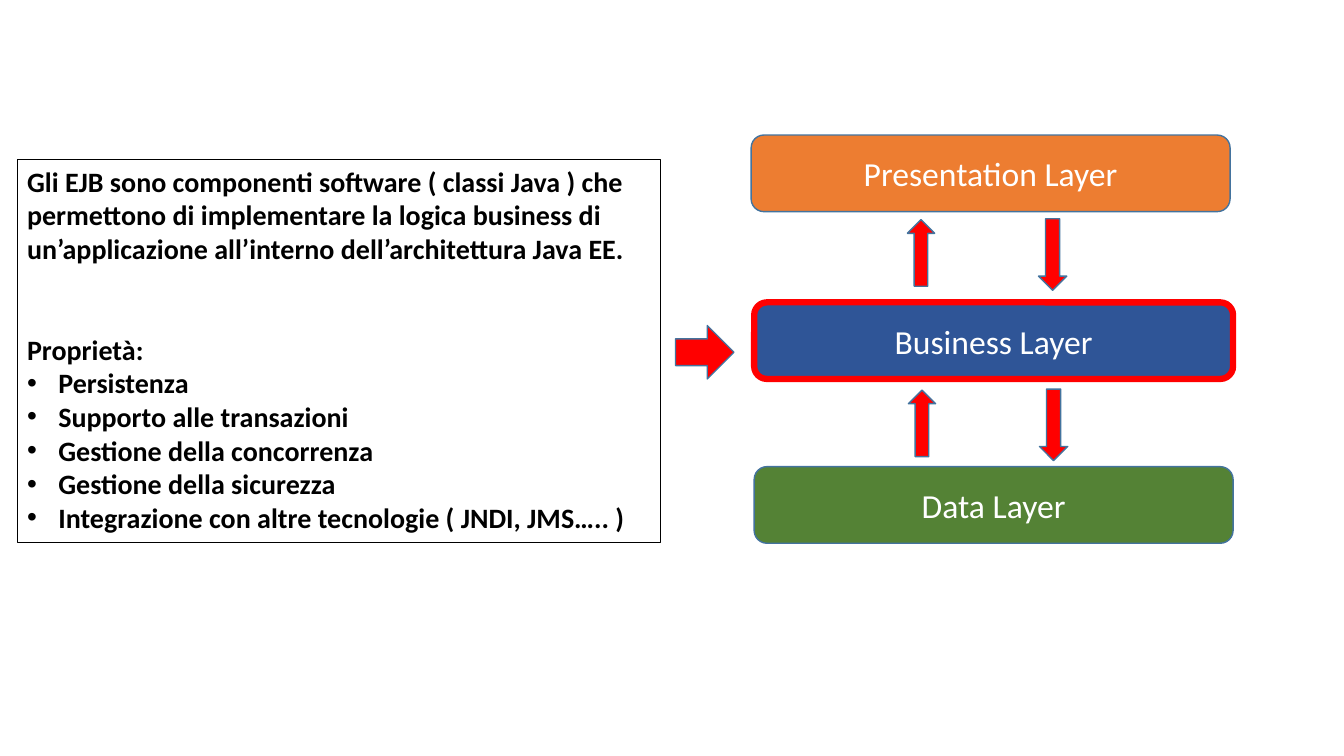
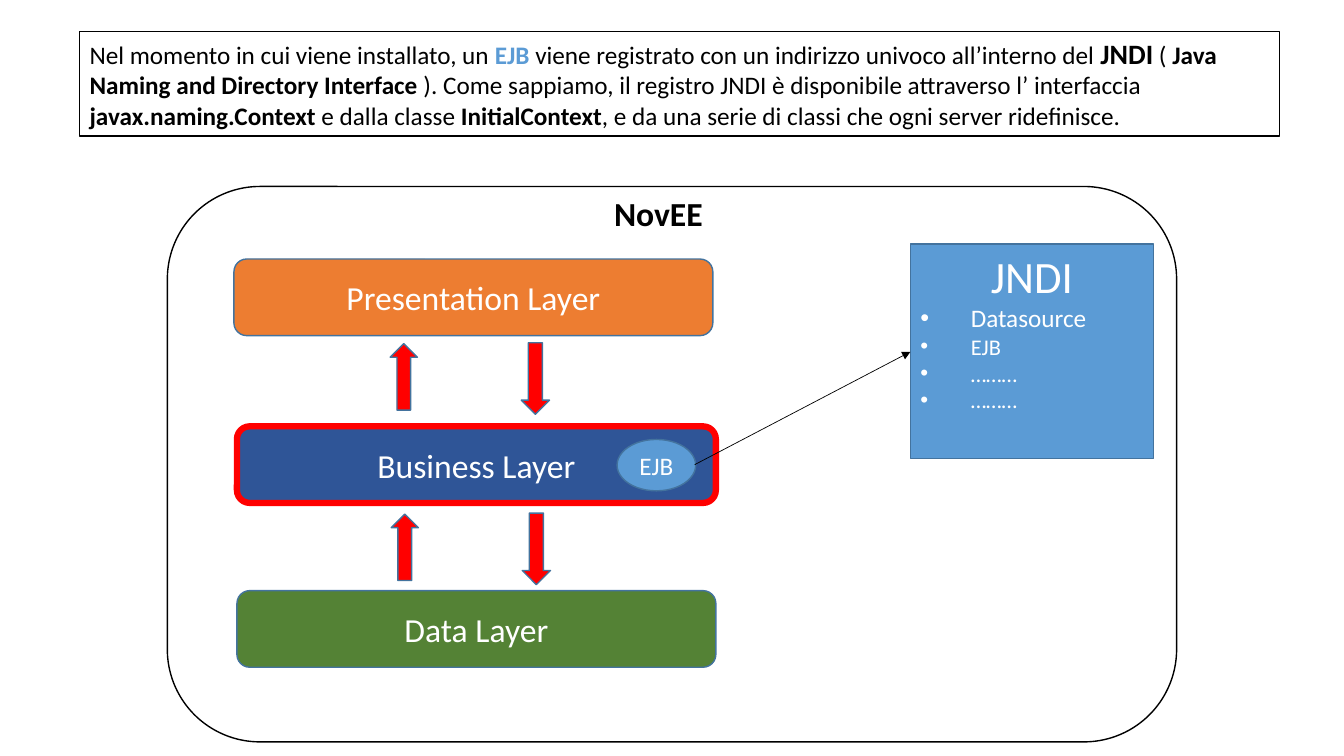
import dataclasses

import lxml.etree
import pptx
import pptx.dml.color
import pptx.enum.shapes
import pptx.enum.text
import pptx.oxml.ns
import pptx.util

Inches = pptx.util.Inches
Pt = pptx.util.Pt
Shape = pptx.enum.shapes.MSO_SHAPE
Anchor = pptx.enum.text.MSO_ANCHOR
Align = pptx.enum.text.PP_ALIGN
qn = pptx.oxml.ns.qn


@dataclasses.dataclass(frozen=True)
class Theme:
    font: str = "Calibri"
    bullet_font: str = "Arial"
    black: str = "000000"
    white: str = "FFFFFF"
    red: str = "FF0000"
    sky: str = "5B9BD5"
    edge: str = "43739E"
    orange: str = "ED7D31"
    navy: str = "2F5597"
    green: str = "548235"
    heading: int = 32
    label: int = 24
    body: int = 20
    detail: int = 18
    small: int = 16


THEME = Theme()


def rgb(value):
    return pptx.dml.color.RGBColor.from_string(value)


class Diagram:
    def __init__(self, theme):
        self.theme = theme
        self.deck = pptx.Presentation()
        self.deck.slide_width = Inches(13.33)
        self.deck.slide_height = Inches(7.5)
        self.page = None

    def new_page(self):
        self.page = self.deck.slides.add_slide(self.deck.slide_layouts[6])

    def shape(self, kind, left, top, width, height, fill=None, line=None, weight=1):
        box = self.page.shapes.add_shape(
            kind, Inches(left), Inches(top), Inches(width), Inches(height))
        box.shadow.inherit = False
        if fill:
            box.fill.solid()
            box.fill.fore_color.rgb = rgb(fill)
        else:
            box.fill.background()
        box.line.color.rgb = rgb(line or self.theme.edge)
        box.line.width = Pt(weight)
        box.text_frame.word_wrap = True
        return box

    def paragraph(self, box, spans, size, color, bold=False, align=Align.LEFT,
                  indent=0, before=0):
        frame = box.text_frame
        para = frame.paragraphs[0]
        if para.runs:
            para = frame.add_paragraph()
        para.alignment = align
        if before:
            para.space_before = Pt(before)
        if indent:
            self.bullet(para, indent)
        self.style(para.font, size, color, bold)
        for text, changes in spans:
            span = para.add_run()
            span.text = text
            if changes:
                self.style(span.font, **changes)

    def style(self, font, size=None, color=None, bold=None):
        font.name = self.theme.font
        if size:
            font.size = Pt(size)
        if color:
            font.color.rgb = rgb(color)
        font.bold = bold

    def bullet(self, para, indent):
        properties = para._p.get_or_add_pPr()
        properties.set("marL", str(Inches(indent)))
        properties.set("indent", str(-Inches(indent)))
        lxml.etree.SubElement(
            properties, qn("a:buFont"), typeface=self.theme.bullet_font)
        lxml.etree.SubElement(properties, qn("a:buChar"), char="•")

    def label(self, box, text, size):
        box.text_frame.vertical_anchor = Anchor.MIDDLE
        self.paragraph(box, [(text, None)], size, self.theme.white, align=Align.CENTER)

    def panel(self, left, top, width, height, fill=None, line=None, weight=1):
        box = self.shape(Shape.RECTANGLE, left, top, width, height, fill, line, weight)
        box.text_frame.vertical_anchor = Anchor.TOP
        return box

    def caption(self, text, left, top, width, height):
        box = self.page.shapes.add_textbox(
            Inches(left), Inches(top), Inches(width), Inches(height))
        box.text_frame.word_wrap = True
        self.paragraph(box, [(text, None)], self.theme.label, self.theme.black,
                       bold=True, align=Align.CENTER)

    def arrow(self, kind, left, top, width, height):
        self.shape(kind, left, top, width, height, self.theme.red)

    def layers(self, left, top):
        theme = self.theme
        rows = (
            ("Presentation Layer", theme.orange, theme.edge, 1, 0, 0),
            ("Business Layer", theme.navy, theme.red, 4.5, 0.03, 1.66),
            ("Data Layer", theme.green, theme.edge, 1, 0.03, 3.29),
        )
        for text, fill, line, weight, shift, drop in rows:
            box = self.shape(Shape.ROUNDED_RECTANGLE, left + shift, top + drop,
                             4.75, 0.76, fill, line, weight)
            self.label(box, text, theme.label)
        for shift, drop in ((0, 0.83), (0.01, 2.52)):
            self.arrow(Shape.DOWN_ARROW, left + 2.85 + shift, top + drop, 0.28, 0.71)
            self.arrow(Shape.UP_ARROW, left + 1.55 + shift, top + drop + 0.01, 0.27, 0.66)

    def pointer(self, start, end):
        link = self.page.shapes.add_connector(
            pptx.enum.shapes.MSO_CONNECTOR.STRAIGHT,
            *(Inches(value) for value in (*start, *end)))
        link.line.color.rgb = rgb(self.theme.black)
        link.line.width = Pt(0.5)
        properties = link._element.spPr
        lxml.etree.SubElement(properties.find(qn("a:ln")), qn("a:tailEnd"), type="triangle")
        lxml.etree.SubElement(properties, qn("a:effectLst"))


def components_page(diagram):
    theme = diagram.theme
    diagram.new_page()
    diagram.layers(7.45, 1.34)
    box = diagram.panel(0.17, 1.58, 6.38, 3.8, line=theme.black, weight=0.75)
    lines = (
        ("Gli EJB sono componenti software ( classi Java ) che permettono di "
         "implementare la logica business di un’applicazione all’interno "
         "dell’architettura Java EE.", 0, 0),
        ("Proprietà:", 0, 48),
        ("Persistenza", 0.31, 0),
        ("Supporto alle transazioni", 0.31, 0),
        ("Gestione della concorrenza", 0.31, 0),
        ("Gestione della sicurezza", 0.31, 0),
        ("Integrazione con altre tecnologie ( JNDI, JMS….. )", 0.31, 0),
    )
    for text, indent, before in lines:
        diagram.paragraph(box, [(text, None)], theme.body, theme.black, bold=True,
                          indent=indent, before=before)
    diagram.arrow(Shape.RIGHT_ARROW, 6.7, 3.23, 0.58, 0.53)


def registry_page(diagram):
    theme = diagram.theme
    strong = {"bold": True}
    diagram.new_page()
    intro = diagram.panel(0.79, 0.31, 11.9, 1.04, line=theme.black, weight=0.75)
    diagram.paragraph(intro, [
        ("Nel momento in cui viene installato, un ", None),
        ("EJB", {"color": theme.sky, "bold": True}),
        (" viene registrato con un indirizzo univoco all’interno del ", None),
        ("JNDI", {"size": theme.body, "bold": True}),
        (" (", None),
        (" Java Naming and Directory Interface ", strong),
        ("). Come sappiamo, il registro JNDI è disponibile attraverso l’ interfaccia ", None),
        ("javax.naming.Context", strong),
        (" e dalla classe ", None),
        ("InitialContext", strong),
        (", e da una serie di classi che ogni server ridefinisce.", None),
    ], theme.detail, theme.black)

    diagram.shape(Shape.ROUNDED_RECTANGLE, 1.66, 1.85, 10.01, 5.51, line=theme.black)
    diagram.caption("NovEE", 4.59, 1.86, 3.88, 0.5)
    diagram.layers(2.32, 2.57)

    registry = diagram.panel(9.03, 2.42, 2.41, 2.13, theme.sky)
    diagram.paragraph(registry, [("JNDI", None)], theme.heading, theme.white,
                      align=Align.CENTER)
    entries = (("Datasource", theme.detail), ("EJB", theme.small),
               ("………", theme.small), ("………", theme.small))
    for text, size in entries:
        diagram.paragraph(registry, [(text, None)], size, theme.white, indent=0.5)

    bean = diagram.shape(Shape.OVAL, 6.12, 4.36, 0.78, 0.51, theme.sky)
    bean.text_frame.word_wrap = False
    diagram.label(bean, "EJB", theme.detail)
    diagram.pointer((6.89, 4.61), (9.03, 3.49))


def main():
    diagram = Diagram(THEME)
    components_page(diagram)
    registry_page(diagram)
    diagram.deck.save("out.pptx")


if __name__ == "__main__":
    main()
